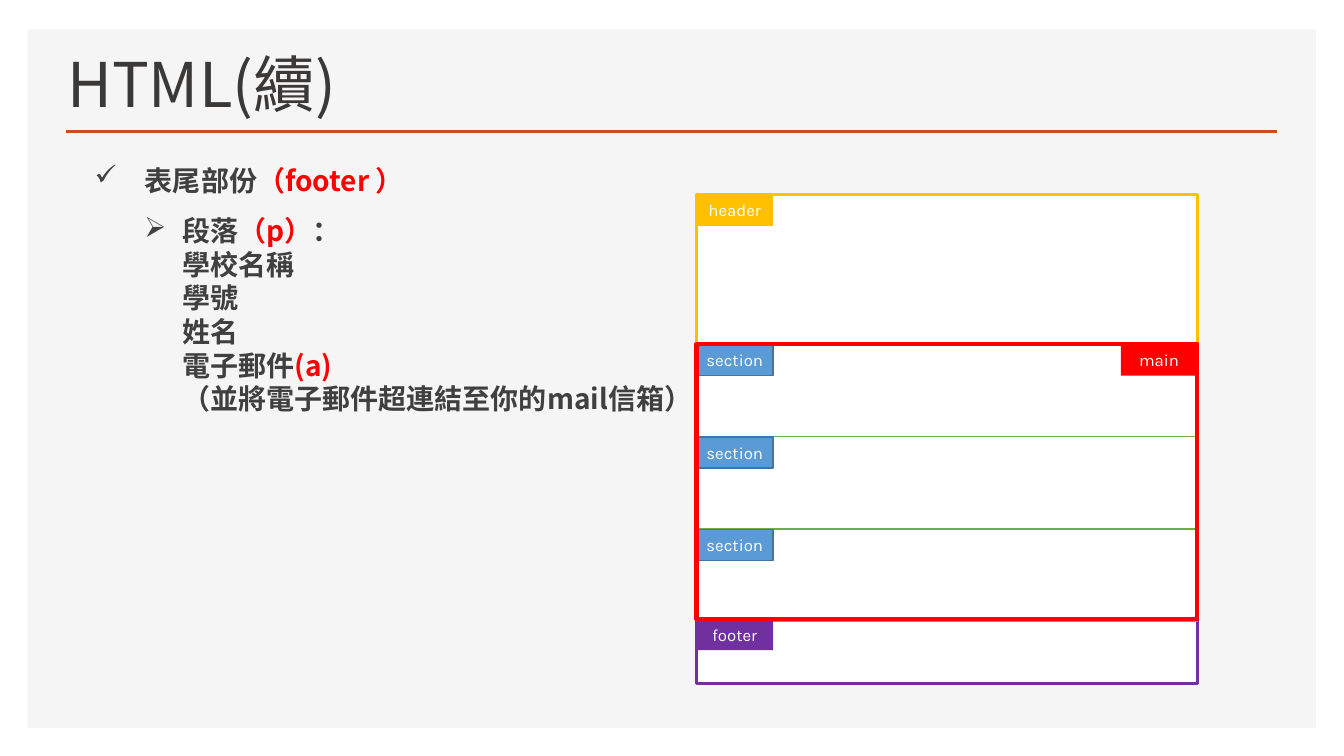
from lxml.etree import SubElement
from pptx import Presentation
from pptx.dml.color import RGBColor
from pptx.enum.shapes import MSO_CONNECTOR as Connector, MSO_SHAPE as Preset
from pptx.enum.text import MSO_ANCHOR as Anchor, PP_ALIGN as Align
from pptx.oxml.ns import qn
from pptx.util import Pt

CJK_FONT, TAG_FONT = "Noto Sans CJK TC", "Karla"
WHITE, RED, PURPLE, AMBER = "FFFFFF", "FF0000", "7030A0", "FFC000"
GREEN, BLUE, DARK_BLUE = "70AD47", "5B9BD5", "43739E"
DARK, TEXT, PANEL, ORANGE = "3B3838", "404040", "F5F5F5", "D24726"

TITLE = "HTML(續)"
BULLETS = [
    ("✓", 54, -36, [("表尾部份", TEXT), ("（footer ）", RED)]),
    ("➢", 80.64, -27, [
        ("段落", TEXT),
        ("（p）", RED),
        ("：\n學校名稱\n學號\n姓名\n電子郵件", TEXT),
        ("(a) \n", RED),
        ("（並將電子郵件超連結至你的mail信箱）", TEXT),
    ]),
]
SECTIONS = ["section", "section", "section"]

LEFT, WIDTH = 497.5, 357.8
HEADER_TOP, MAIN_TOP, FOOTER_TOP, BOTTOM = 139, 246, 442, 488
TAG_WIDTH, TAG_HEIGHT = 54.7, 22.3
SECTION_PITCH = 66

presentation = Presentation()
presentation.slide_width, presentation.slide_height = Pt(960), Pt(540)
slide = presentation.slides.add_slide(presentation.slide_layouts[6])


def color(hex_string):
    return RGBColor.from_string(hex_string)


def add_box(left, top, width, height, fill=None, line=None, weight=1):
    shape = slide.shapes.add_shape(
        Preset.RECTANGLE, Pt(left), Pt(top), Pt(width), Pt(height))
    shape.shadow.inherit = False
    if fill:
        shape.fill.solid()
        shape.fill.fore_color.rgb = color(fill)
    else:
        shape.fill.background()
    if line:
        shape.line.color.rgb = color(line)
        shape.line.width = Pt(weight)
    else:
        shape.line.fill.background()
    return shape


def add_tag(label, left, top, fill, line=None):
    frame = add_box(left, top, TAG_WIDTH, TAG_HEIGHT, fill, line).text_frame
    frame.vertical_anchor = Anchor.MIDDLE
    frame.word_wrap = False
    paragraph = frame.paragraphs[0]
    paragraph.text = label
    paragraph.alignment = Align.CENTER
    font = paragraph.font
    font.name, font.size, font.color.rgb = TAG_FONT, Pt(12), color(WHITE)


def add_text_frame(left, top, width, height):
    frame = slide.shapes.add_textbox(
        Pt(left), Pt(top), Pt(width), Pt(height)).text_frame
    frame.word_wrap = True
    return frame


def add_run(paragraph, text, size, hex_string, bold=False):
    run = paragraph.add_run()
    run.text = text
    font = run.font
    font.name, font.size, font.bold = CJK_FONT, Pt(size), bold
    font.color.rgb = color(hex_string)
    SubElement(run._r.get_or_add_rPr(), qn("a:ea"), typeface=CJK_FONT)


def add_bullet(paragraph, mark, margin, indent, runs):
    paragraph.line_spacing = Pt(24)
    paragraph.space_before = paragraph.space_after = Pt(6)
    properties = paragraph._p.get_or_add_pPr()
    properties.set("marL", str(Pt(margin)))
    properties.set("indent", str(Pt(indent)))
    bullet_color = SubElement(properties, qn("a:buClr"))
    SubElement(bullet_color, qn("a:srgbClr"), val=TEXT)
    SubElement(properties, qn("a:buChar"), char=mark)
    for text, hex_string in runs:
        for number, part in enumerate(text.split("\n")):
            if number:
                paragraph.add_line_break()
            if part:
                add_run(paragraph, part, 20, hex_string, True)


add_box(20, 21, 920, 499, PANEL)
rule = slide.shapes.add_connector(
    Connector.STRAIGHT, Pt(47.5), Pt(94), Pt(912), Pt(94))
rule.line.color.rgb = color(ORANGE)
rule.line.width = Pt(2)
SubElement(rule._element.spPr, qn("a:effectLst"))

title = add_text_frame(41, 35.3, 880, 50.4)
title.vertical_anchor = Anchor.BOTTOM
title.margin_top = title.margin_bottom = 0
add_run(title.paragraphs[0], TITLE, 44, DARK)

body = add_text_frame(42.5, 113, 878, 392)
for number, bullet in enumerate(BULLETS):
    paragraph = body.add_paragraph() if number else body.paragraphs[0]
    add_bullet(paragraph, *bullet)

add_box(LEFT, HEADER_TOP, WIDTH, MAIN_TOP - HEADER_TOP, WHITE, AMBER, 2.25)
add_tag("header", LEFT, HEADER_TOP, AMBER)
add_box(LEFT, MAIN_TOP, WIDTH, BOTTOM - MAIN_TOP, WHITE, PURPLE, 2.25)
for number, label in enumerate(SECTIONS):
    top = MAIN_TOP + number * SECTION_PITCH
    add_box(LEFT, top, WIDTH, SECTION_PITCH, WHITE, GREEN)
    add_tag(label, LEFT, top, BLUE, DARK_BLUE)
add_tag("main", LEFT + WIDTH - TAG_WIDTH, MAIN_TOP, RED)
add_tag("footer", LEFT, FOOTER_TOP, PURPLE)
add_box(LEFT, MAIN_TOP, WIDTH, FOOTER_TOP - MAIN_TOP, None, RED, 3)

presentation.save("out.pptx")
